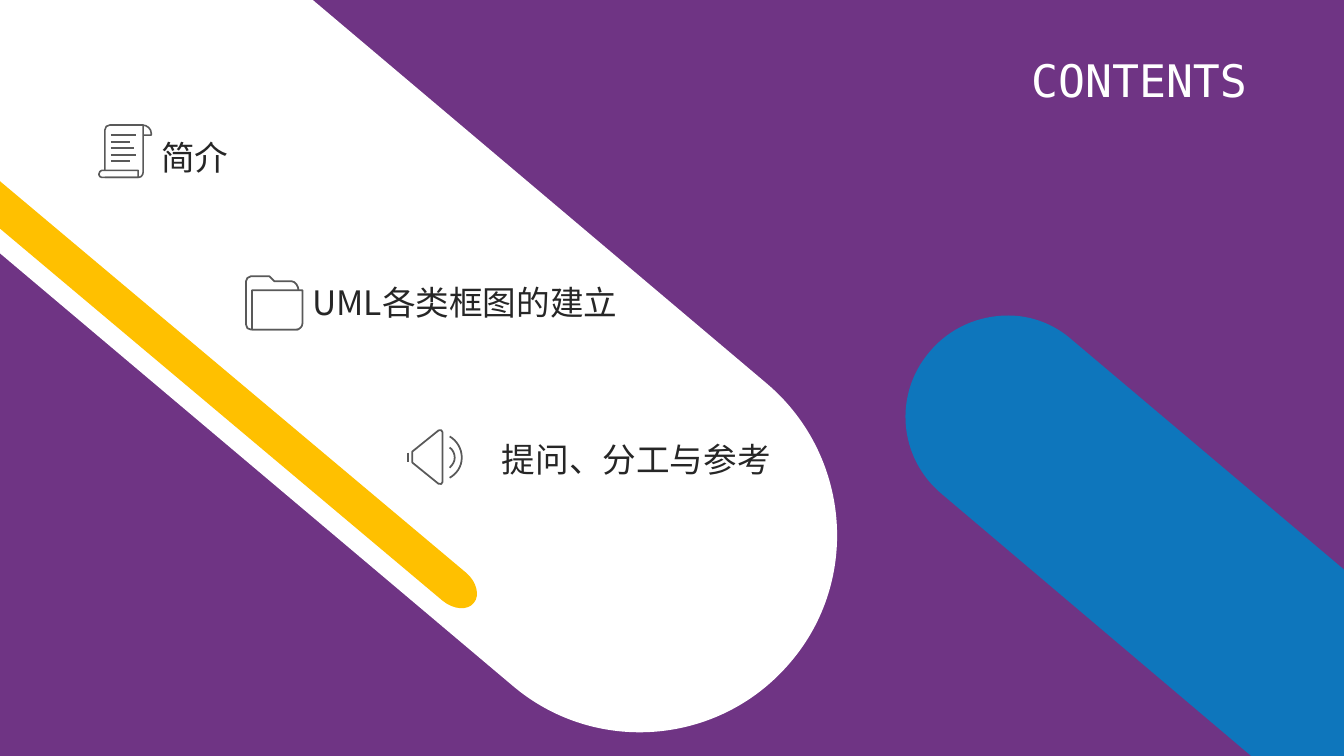
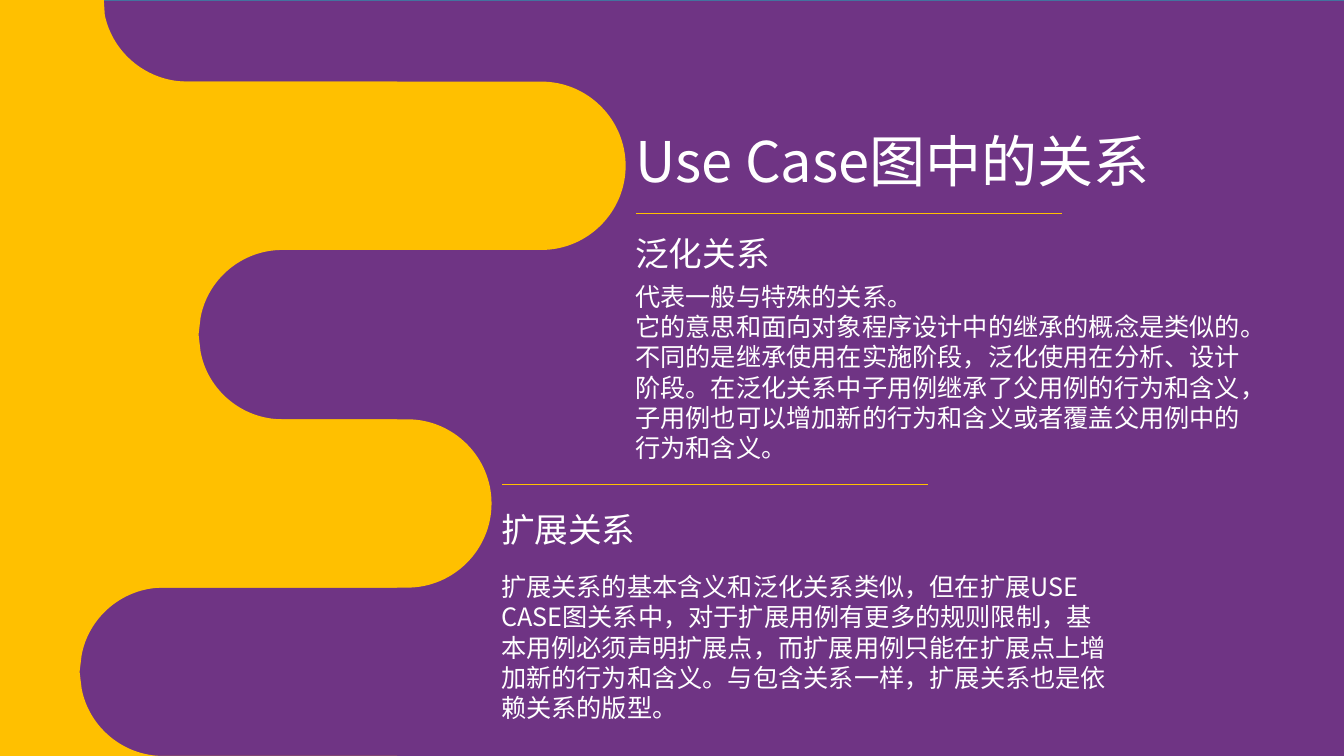
from dataclasses import dataclass
from math import cos, radians, sin

from lxml.etree import Element, SubElement
from pptx import Presentation
from pptx.dml.color import RGBColor
from pptx.enum.shapes import MSO_CONNECTOR, MSO_SHAPE
from pptx.enum.text import MSO_ANCHOR, MSO_AUTO_SIZE, PP_ALIGN
from pptx.oxml.ns import qn
from pptx.util import Inches, Pt


@dataclass(frozen=True)
class Theme:
    purple: str = "6F3484"
    gold: str = "FFC000"
    blue: str = "0E76BC"
    white: str = "FFFFFF"
    ink: str = "262626"
    icon: str = "595959"
    edge: str = "43739E"
    font: str = "Noto Sans CJK SC"
    mono: str = "DejaVu Sans Mono"
    title: int = 40
    contents: int = 32
    heading: int = 24
    body: int = 18
    line_height: float = 1.2


THEME = Theme()
WIDTH, HEIGHT = 13.33, 7.5
TITLE_ONLY, COMPARISON = 5, 4


def color(value):
    return RGBColor.from_string(value)


def write_text(frame, lines, size=THEME.body, ink=THEME.white, font=THEME.font,
               align=PP_ALIGN.LEFT, line_height=THEME.line_height):
    """Fill a text frame with one paragraph per line."""
    frame.word_wrap = True
    frame.auto_size = MSO_AUTO_SIZE.SHAPE_TO_FIT_TEXT
    frame.vertical_anchor = MSO_ANCHOR.TOP
    for number, line in enumerate(lines):
        paragraph = frame.add_paragraph() if number else frame.paragraphs[0]
        paragraph.alignment = align
        paragraph.line_spacing = Pt(size * line_height) if line_height else 1.0
        paragraph.space_before = paragraph.space_after = Pt(0)
        properties = paragraph._p.get_or_add_pPr()
        properties.set("marL", "0")
        properties.set("indent", "0")
        SubElement(properties, qn("a:buNone"))
        run = paragraph.add_run()
        run.text = line
        run.font.size = Pt(size)
        run.font.bold = False
        run.font.color.rgb = color(ink)
        run.font.name = font
        SubElement(run._r.get_or_add_rPr(), qn("a:ea")).set("typeface", font)


def turn(point, degrees):
    """Turn a point clockwise about the slide's top left corner."""
    x, y = point
    c, s = cos(radians(degrees)), sin(radians(degrees))
    return x * c - y * s, x * s + y * c


def tongue(x, top, bottom):
    """Round end bulging right from (x, top) to (x, bottom)."""
    radius = (bottom - top) / 2
    middle, tip = top + radius, x + radius
    pull = 0.55 * radius
    return [(x, top), (x + pull, top, tip, middle - pull, tip, middle),
            (tip, middle + pull, x + pull, bottom, x, bottom)]


def bay(x, top, bottom):
    """Round notch bulging left from (x, top) to (x, bottom)."""
    return [(x, top),
            (x - 0.4, top, x - 0.74, top + 0.29, x - 0.81, top + 0.67),
            (x - 0.83, (top + bottom) / 2),
            (x - 0.81, bottom - 0.67),
            (x - 0.74, bottom - 0.29, x - 0.4, bottom, x, bottom)]


class Deck:
    def __init__(self):
        self.presentation = Presentation()
        self.presentation.slide_width = Inches(WIDTH)
        self.presentation.slide_height = Inches(HEIGHT)
        background = self.presentation.slide_master.background.fill
        background.solid()
        background.fore_color.rgb = color(THEME.purple)
        self.slide = None

    def new_slide(self, layout):
        layouts = self.presentation.slide_layouts
        self.slide = self.presentation.slides.add_slide(layouts[layout])

    def placeholder(self, index, box, lines, **style):
        shape = self.slide.placeholders[index]
        shape.left, shape.top, shape.width, shape.height = map(Inches, box)
        write_text(shape.text_frame, lines, **style)

    def label(self, box, text, **style):
        shape = self.slide.shapes.add_textbox(*map(Inches, box))
        write_text(shape.text_frame, [text], **style)

    def paint(self, shape, fill=None, line=None, weight=1):
        shape.shadow.inherit = False
        if fill:
            shape.fill.solid()
            shape.fill.fore_color.rgb = color(fill)
        else:
            shape.fill.background()
        if line:
            shape.line.color.rgb = color(line)
            shape.line.width = Pt(weight)
        else:
            shape.line.fill.background()

    def backdrop(self, line):
        shape = self.slide.shapes.add_shape(MSO_SHAPE.RECTANGLE, 0, 0,
                                            Inches(13.36), Inches(7.52))
        self.paint(shape, THEME.purple, line)
        shape.element.getparent().insert(2, shape.element)

    def outline(self, segments, close=True, group=None, rotation=0, **style):
        """Draw (x, y) corners and six-number curves as one freeform."""
        segments = [[tuple(map(Inches, turn(segment[i:i + 2], -rotation)))
                     for i in range(0, len(segment), 2)] for segment in segments]
        ends = [segment[-1] for segment in segments]
        left, top = (min(values) for values in zip(*ends))
        builder = (group or self.slide).shapes.build_freeform(*ends[0], scale=1.0)
        builder.add_line_segments(ends[1:], close=close)
        shape = builder.convert_to_shape()
        # Bend the sides that have control points
        sides = list(shape.element.iter(qn("a:lnTo")))
        for side, segment in zip(sides, segments[1:]):
            if len(segment) == 3:
                side.tag = qn("a:cubicBezTo")
                for position, (x, y) in enumerate(segment[:2]):
                    control = Element(qn("a:pt"), x=str(x - left), y=str(y - top))
                    side.insert(position, control)
        # Turn the shape about its own centre
        if rotation:
            half_width, half_height = shape.width / 2, shape.height / 2
            x, y = turn((shape.left + half_width, shape.top + half_height), rotation)
            shape.left, shape.top = round(x - half_width), round(y - half_height)
            shape.rotation = rotation
        self.paint(shape, **style)

    def rule(self, start, end, line, weight, group=None):
        connector = (group or self.slide).shapes.add_connector(
            MSO_CONNECTOR.STRAIGHT, *map(Inches, (*start, *end)))
        connector.line.color.rgb = color(line)
        connector.line.width = Pt(weight)
        SubElement(connector.element.spPr, qn("a:effectLst"))

    def icon(self, closed, opened, rules, weight):
        group = self.slide.shapes.add_group_shape()
        pen = dict(group=group, line=THEME.icon, weight=weight)
        for close, outlines in ((True, closed), (False, opened)):
            for segments in outlines:
                self.outline(segments, close=close, **pen)
        for start, end in rules:
            self.rule(start, end, **pen)


def contents_slide(deck):
    deck.new_slide(TITLE_ONLY)
    # Diagonal bands
    deck.outline([(-0.04, -0.01), (3.09, -0.01), (7.61, 3.81),
                  (8.43, 4.51, 8.54, 5.75, 7.84, 6.57),
                  (7.14, 7.4, 5.9, 7.5, 5.08, 6.8), (-0.04, 2.48)],
                 rotation=40.2, fill=THEME.white)
    deck.outline([(-0.01, 1.79), (4.62, 5.68), (4.73, 5.77, 4.76, 5.91, 4.7, 5.98),
                  (4.64, 6.06, 4.5, 6.05, 4.39, 5.96), (-0.01, 2.26)],
                 rotation=40, fill=THEME.gold)
    deck.outline([(10, 3.13), (10.22, 3.13, 10.45, 3.21, 10.63, 3.37), (13.33, 5.65),
                  (13.33, 7.5), (12.41, 7.5), (9.34, 4.9),
                  (8.91, 4.54, 8.86, 3.91, 9.22, 3.49),
                  (9.42, 3.25, 9.71, 3.13, 10, 3.13)],
                 rotation=40.2, fill=THEME.blue)
    deck.placeholder(0, (8.97, 0.47, 3.5, 0.64), ["CONTENTS"], size=THEME.contents,
                     font=THEME.mono, align=PP_ALIGN.RIGHT, line_height=None)

    # Scroll icon
    text_ends = (1.35, 1.29, 1.33, 1.35, 1.29)
    text_rows = [round(1.34 + 0.065 * row, 2) for row in range(5)]
    deck.icon(
        closed=[[(1.37, 1.76), (1.01, 1.76), (1, 1.76, 0.98, 1.75, 0.98, 1.73),
                 (0.98, 1.71, 1, 1.69, 1.01, 1.69), (1.37, 1.69)]],
        opened=[[(1.04, 1.69), (1.04, 1.29), (1.04, 1.26, 1.06, 1.24, 1.09, 1.24),
                 (1.42, 1.24), (1.42, 1.69), (1.42, 1.76, 1.39, 1.76, 1.35, 1.76),
                 (1.04, 1.76)],
                [(1.41, 1.24), (1.46, 1.24, 1.5, 1.28, 1.5, 1.32), (1.5, 1.34),
                 (1.42, 1.34)]],
        rules=[((1.1, y), (end, y)) for y, end in zip(text_rows, text_ends)],
        weight=1.13)

    # Folder icon
    deck.icon(
        closed=[[(2.94, 3.27), (2.5, 3.27), (2.5, 2.88), (3, 2.88), (3, 3.21),
                 (3, 3.24, 2.97, 3.27, 2.94, 3.27)]],
        opened=[[(2.96, 3.27), (2.49, 3.27), (2.46, 3.27, 2.44, 3.25, 2.44, 3.22),
                 (2.44, 2.79)],
                [(2.44, 2.79), (2.44, 2.77, 2.46, 2.74, 2.49, 2.74), (2.67, 2.74),
                 (2.72, 2.79), (2.89, 2.79), (2.93, 2.79, 2.96, 2.84, 2.96, 2.88)]],
        rules=[((2.73, 2.79), (2.73, 2.79))], weight=1.25)

    # Speaker icon
    deck.icon(
        closed=[[(4.35, 4.8), (4.09, 4.59), (4.09, 4.48), (4.35, 4.27),
                 (4.37, 4.26, 4.39, 4.27, 4.39, 4.29), (4.39, 4.78),
                 (4.39, 4.8, 4.37, 4.81, 4.35, 4.8)]],
        opened=[[(4.46, 4.44), (4.49, 4.46, 4.51, 4.5, 4.51, 4.54),
                 (4.51, 4.58, 4.49, 4.61, 4.46, 4.64)],
                [(4.46, 4.33), (4.53, 4.37, 4.58, 4.45, 4.58, 4.54),
                 (4.58, 4.63, 4.53, 4.7, 4.46, 4.74)]],
        rules=[((4.05, 4.49), (4.05, 4.58))], weight=1.25)

    # Chapter names
    for left, top, width, text in ((1.5, 1.31, 1.74, "简介"),
                                   (3, 2.75, 4.03, "UML各类框图的建立"),
                                   (4.88, 4.31, 3.63, "提问、分工与参考")):
        deck.label((left, top, width, 0.5), text, size=THEME.heading, ink=THEME.ink)


def relations_slide(deck):
    deck.new_slide(COMPARISON)
    deck.backdrop(THEME.edge)

    # Gold column with bays, and its tongues
    deck.outline([(0, 0), (1.03, 0), (1.04, 0.15), (1.12, 0.53, 1.46, 0.81, 1.86, 0.81),
                  (3.94, 0.81), (3.94, 2.48), *bay(2.8, 2.48, 4.16), (3.94, 4.16),
                  (3.94, 5.83), *bay(1.62, 5.83, 7.5), (3.94, 7.5), (0, 7.5)],
                 fill=THEME.gold)
    for x, top, bottom in ((5.37, 0.81, 2.48), (4.04, 4.16, 5.83)):
        deck.outline([(0, top), *tongue(x, top, bottom), (0, bottom)], fill=THEME.gold)

    # Title and the two relations
    deck.placeholder(0, (6.2, 1.21, 5.68, 0.77), ["Use Case图中的关系"], size=THEME.title)
    deck.placeholder(1, (6.2, 2.26, 4.75, 0.5), ["泛化关系"], size=THEME.heading)
    deck.placeholder(2, (6.2, 2.74, 6.3, 1.92), [
        "代表一般与特殊的关系。",
        "它的意思和面向对象程序设计中的继承的概念是类似的。",
        "不同的是继承使用在实施阶段，泛化使用在分析、设计阶段。在泛化关系中子用例继承了"
        "父用例的行为和含义，子用例也可以增加新的行为和含义或者覆盖父用例中的行为和含义。"])
    deck.placeholder(3, (4.87, 5, 4.75, 0.5), ["扩展关系"], size=THEME.heading)
    deck.placeholder(4, (4.87, 5.62, 6.3, 1.61), [
        "扩展关系的基本含义和泛化关系类似，但在扩展USE CASE图关系中，对于扩展用例有更多的"
        "规则限制，基本用例必须声明扩展点，而扩展用例只能在扩展点上增加新的行为和含义。"
        "与包含关系一样，扩展关系也是依赖关系的版型。"])
    for left, y in ((6.31, 2.12), (4.98, 4.81)):
        deck.rule((left, y), (left + 4.22, y), THEME.gold, 0.5)


def main():
    deck = Deck()
    contents_slide(deck)
    relations_slide(deck)
    deck.presentation.save("out.pptx")


if __name__ == "__main__":
    main()
